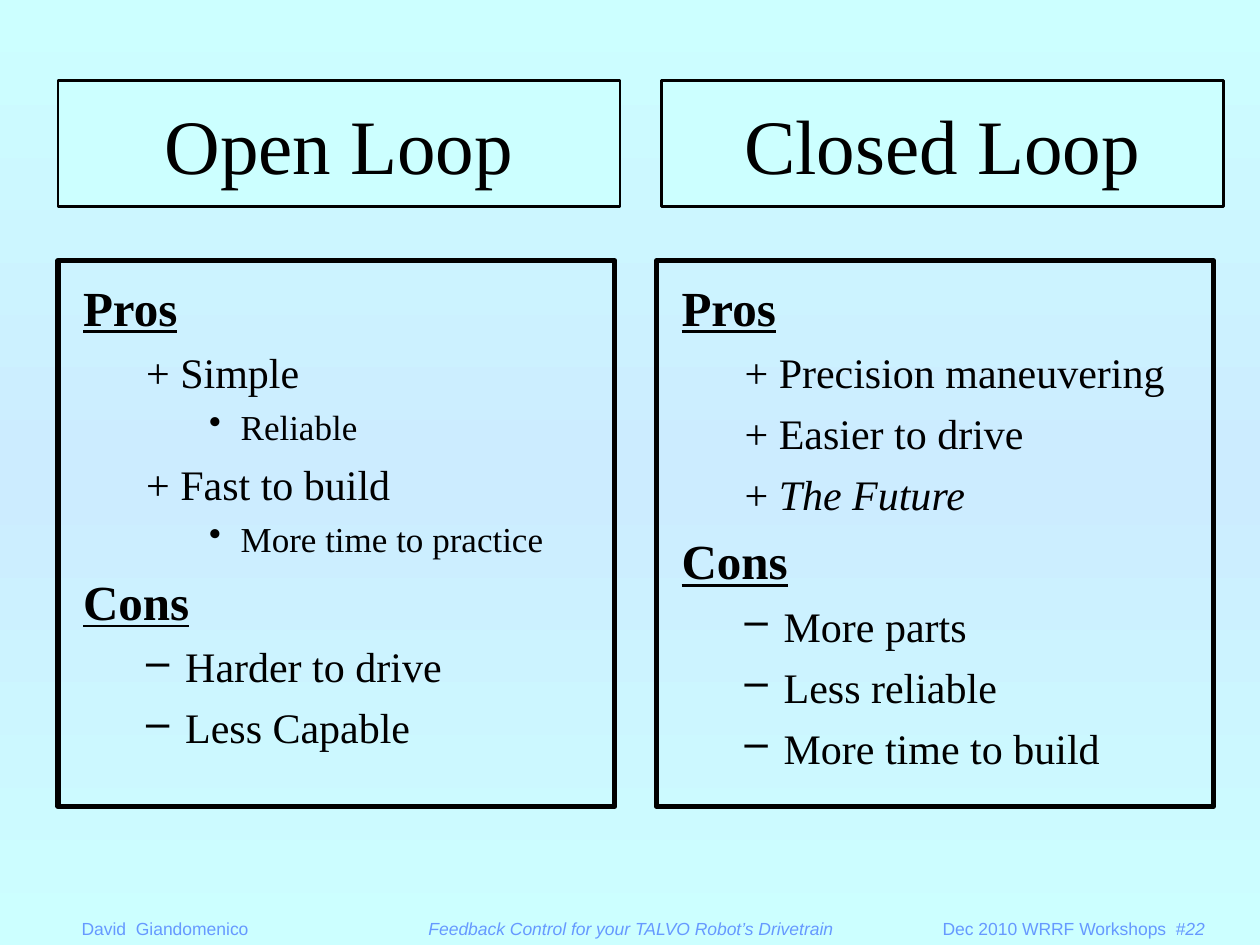
import copy

import pptx
import pptx.util
import pptx.dml.color
import pptx.enum.shapes
import pptx.enum.text
import pptx.oxml
import pptx.oxml.ns

Inches = pptx.util.Inches
Pt = pptx.util.Pt
RGB = pptx.dml.color.RGBColor
ALIGN = pptx.enum.text.PP_ALIGN
ANCHOR = pptx.enum.text.MSO_ANCHOR

BLACK = RGB(0, 0, 0)
AQUA = RGB(0xCC, 0xFF, 0xFF)
SKY = RGB(0xCC, 0xEC, 0xFF)
BLUE = RGB(0x66, 0x99, 0xFF)

WIDE, HIGH = 10, 7.5
SERIF = "Times New Roman"
HEAD = {"name": SERIF, "size": Pt(44), "color": BLACK}
FOOT = {"name": "Arial", "size": Pt(10), "color": BLUE}

# Row kind: level, left margin, indent, space before, bullet, font
BASE = {"name": SERIF, "color": BLACK}
ITEM = {**BASE, "size": Pt(24)}
KINDS = {
    "head": (0, 0.38, -0.38, 7, None,
             {**BASE, "size": Pt(28), "bold": True, "underline": True}),
    "plus": (1, 0.81, -0.31, 6, None, ITEM),
    "sub": (2, 1.25, -0.25, 5, "•", {**BASE, "size": Pt(20)}),
    "minus": (1, 0.81, -0.31, 6, "–", ITEM),
}

# A row's text is a list of (words, extra format)
OPEN = [
    ("head", [("Pros", {})]),
    ("plus", [("+ Simple", {})]),
    ("sub", [("Reliable", {})]),
    ("plus", [("+ Fast to build", {})]),
    ("sub", [("More time to practice", {})]),
    ("head", [("Cons", {})]),
    ("minus", [("Harder to drive", {})]),
    ("minus", [("Less Capable", {})]),
]
CLOSED = [
    ("head", [("Pros", {})]),
    ("plus", [("+ Precision maneuvering", {})]),
    ("plus", [("+ Easier to drive", {})]),
    ("plus", [("+ ", {}), ("The Future", {"italic": True})]),
    ("head", [("Cons", {})]),
    ("minus", [("More parts", {})]),
    ("minus", [("Less reliable", {})]),
    ("minus", [("More time to build", {})]),
]
FEET = [
    (0.55, 1.67, ALIGN.LEFT, [("David  Giandomenico", {})]),
    (2.86, 4.29, ALIGN.CENTER,
     [("Feedback Control for your TALVO Robot’s Drivetrain", {"italic": True})]),
    (7.14, 2.52, ALIGN.RIGHT,
     [("Dec 2010 WRRF Workshops  ", {}), ("#22", {"italic": True})]),
]


def style(font, look):
    for key, val in look.items():
        if key == "color":
            font.color.rgb = val
        else:
            setattr(font, key, val)


def write(para, runs, look):
    for words, more in runs:
        run = para.add_run()
        run.text = words
        style(run.font, {**look, **more})


def place(shape, left, top, width, height):
    spots = {"left": left, "top": top, "width": width, "height": height}
    for key, val in spots.items():
        setattr(shape, key, Inches(val))


def setup(frame, anchor, left=0.1, top=0.05):
    look = {"word_wrap": True, "vertical_anchor": anchor,
            "auto_size": pptx.enum.text.MSO_AUTO_SIZE.NONE,
            "margin_left": Inches(left), "margin_top": Inches(top),
            "margin_right": Inches(0.1), "margin_bottom": Inches(0.05)}
    for key, val in look.items():
        setattr(frame, key, val)


def border(shape, width):
    shape.line.color.rgb = BLACK
    shape.line.width = Pt(width)


def rect(slide):
    kind = pptx.enum.shapes.MSO_SHAPE.RECTANGLE
    shape = slide.shapes.add_shape(kind, 0, 0, 0, 0)
    shape.shadow.inherit = False
    return shape


def header(shape, left, words):
    place(shape, left, 0.64, 4.46, 1)
    shape.fill.solid()
    shape.fill.fore_color.rgb = AQUA
    border(shape, 1.5)
    setup(shape.text_frame, ANCHOR.MIDDLE)
    para = shape.text_frame.paragraphs[0]
    para.alignment = ALIGN.CENTER
    write(para, [(words, {})], HEAD)


def indent(para, left, hang, mark):
    props = para._p.get_or_add_pPr()
    props.set("marL", str(Inches(left)))
    props.set("indent", str(Inches(hang)))
    space = pptx.oxml.ns.nsdecls("a")
    tag = f'<a:buChar {space} char="{mark}"/>' if mark else f"<a:buNone {space}/>"
    props.append(pptx.oxml.parse_xml(tag))


def panel(slide, left, rows):
    shape = rect(slide)
    place(shape, left, 2.07, 4.42, 4.33)
    shape.fill.background()
    border(shape, 3)
    frame = shape.text_frame
    setup(frame, ANCHOR.TOP, 0.2, 0.13)
    for num, (kind, runs) in enumerate(rows):
        level, edge, hang, gap, mark, look = KINDS[kind]
        para = frame.add_paragraph() if num else frame.paragraphs[0]
        para.level = level
        para.alignment = ALIGN.LEFT
        para.space_before = Pt(gap if num else 0)
        indent(para, edge, hang, mark)
        write(para, runs, look)


def footer(slide, left, width, align, runs):
    box = slide.shapes.add_textbox(0, 0, 0, 0)
    place(box, left, HIGH - 0.27, width, 0.27)
    setup(box.text_frame, ANCHOR.BOTTOM)
    para = box.text_frame.paragraphs[0]
    para.alignment = align
    write(para, runs, FOOT)


def backdrop(slide):
    fill = slide.background.fill
    fill.gradient()
    fill.gradient_angle = 90
    # A third stop mirrors the outer colour around the middle
    stops = next(slide._element.iter(pptx.oxml.ns.qn("a:gsLst")))
    stops.append(copy.deepcopy(stops[-1]))
    for stop, spot, shade in zip(fill.gradient_stops, (0, 0.5, 1), (AQUA, SKY, AQUA)):
        stop.position = spot
        stop.color.rgb = shade


def main():
    deck = pptx.Presentation()
    deck.slide_width, deck.slide_height = Inches(WIDE), Inches(HIGH)
    slide = deck.slides.add_slide(deck.slide_layouts[5])
    backdrop(slide)

    # Footer line
    for foot in FEET:
        footer(slide, *foot)

    # Two columns: heading above its panel
    header(slide.shapes.title, 0.46, "Open Loop")
    panel(slide, 0.46, OPEN)
    panel(slide, 5.21, CLOSED)
    header(rect(slide), 5.25, "Closed Loop")

    deck.save("out.pptx")


if __name__ == "__main__":
    main()
